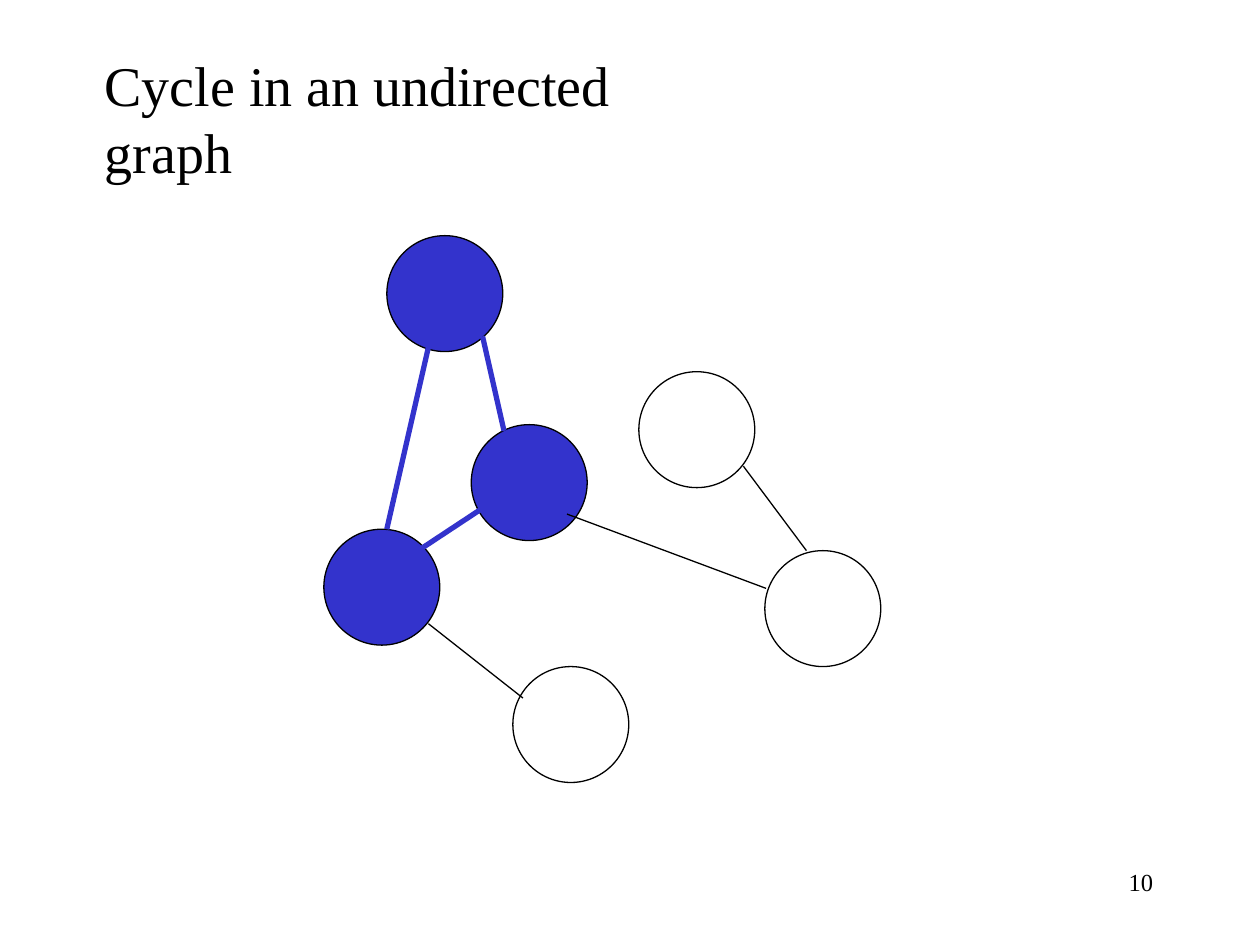
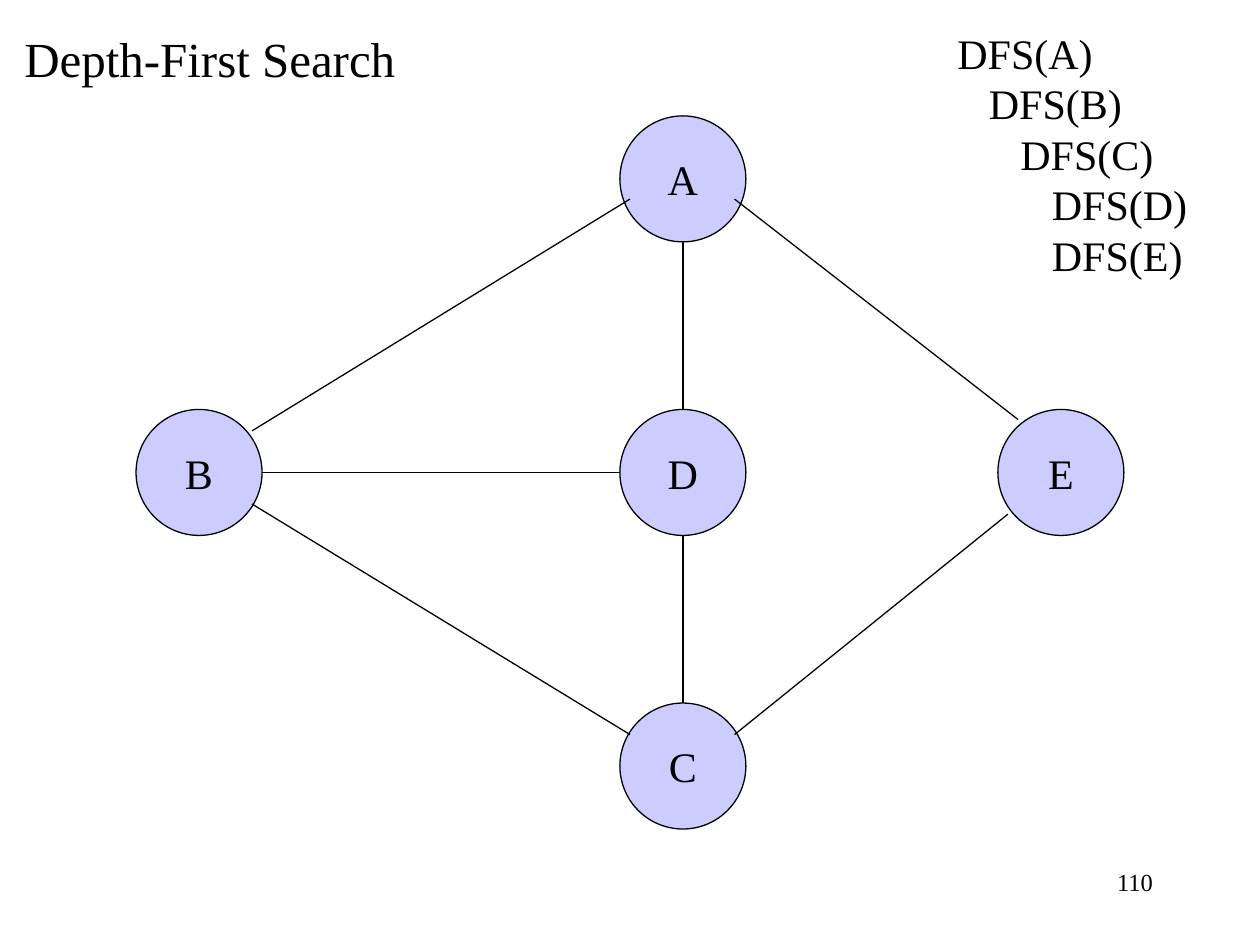
import dataclasses

import pptx
import pptx.dml.color
import pptx.enum.shapes
import pptx.enum.text
import pptx.oxml
import pptx.oxml.ns
import pptx.util

PX = 9144  # EMU per px, 100 px to the inch
ALIGN = pptx.enum.text.PP_ALIGN
ANCHOR = pptx.enum.text.MSO_ANCHOR


@dataclasses.dataclass(frozen=True)
class Theme:
    font: str = "Times New Roman"
    ink: str = "000000"
    cycle: str = "3333CC"
    node: str = "CCCCFF"
    title: int = 32
    small_title: int = 28
    body: int = 24
    page: int = 14
    thin: float = 0.75
    thick: float = 3


THEME = Theme()


def rgb(value):
    return pptx.dml.color.RGBColor.from_string(value)


def px(*lengths):
    return [pptx.util.Emu(length * PX) for length in lengths]


def write(sp, *lines, size=THEME.body, align=ALIGN.LEFT, anchor=ANCHOR.TOP,
          wrap=False, indents=()):
    """Fill a shape with one paragraph per line; indents are left margins in px."""
    tf = sp.text_frame
    tf.word_wrap = wrap
    tf.auto_size = pptx.enum.text.MSO_AUTO_SIZE.NONE
    tf.vertical_anchor = anchor
    for i, line in enumerate(lines):
        p = tf.paragraphs[0] if i == 0 else tf.add_paragraph()
        p.alignment = align
        if indents:
            p._p.get_or_add_pPr().set("marL", str(indents[i] * PX))
        r = p.add_run()
        r.text = line
        r.font.name = THEME.font
        r.font.size = pptx.util.Pt(size)
        r.font.color.rgb = rgb(THEME.ink)


def add_text(s, box, *lines, **fmt):
    write(s.shapes.add_textbox(*px(*box)), *lines, **fmt)


def add_slide(prs, title, title_box, page, **title_fmt):
    s = prs.slides.add_slide(prs.slide_layouts[5])
    sp = s.shapes.title
    sp.left, sp.top, sp.width, sp.height = px(*title_box)
    write(sp, title, **title_fmt)
    add_text(s, (717, 683, 208, 50), page, size=THEME.page, align=ALIGN.RIGHT, wrap=True)
    return s


def add_node(s, left, top, size, fill=None, label=None):
    sp = s.shapes.add_shape(pptx.enum.shapes.MSO_SHAPE.OVAL, *px(left, top, size, size))
    sp.shadow.inherit = False
    if fill:
        sp.fill.solid()
        sp.fill.fore_color.rgb = rgb(fill)
    else:
        sp.fill.background()
    sp.line.color.rgb = rgb(THEME.ink)
    sp.line.width = pptx.util.Pt(THEME.thin)
    if label:
        write(sp, label, align=ALIGN.CENTER, anchor=ANCHOR.MIDDLE)


def add_edges(s, edges, color=THEME.ink, width=THEME.thin):
    """Draw straight edges given as (x1, y1, x2, y2)."""
    for edge in edges:
        cxn = s.shapes.add_connector(pptx.enum.shapes.MSO_CONNECTOR.STRAIGHT, *px(*edge))
        cxn.line.color.rgb = rgb(color)
        cxn.line.width = pptx.util.Pt(width)
        cxn._element.spPr.append(pptx.oxml.parse_xml(
            f'<a:effectLst {pptx.oxml.ns.nsdecls("a")}/>'))


def cycle_slide(prs):
    s = add_slide(prs, "Cycle in an undirected graph", (73, 35, 534, 63), "10",
                  size=THEME.title)
    cycle_nodes = [(307, 187), (374, 337), (257, 420)]
    other_nodes = [(507, 295), (607, 437), (407, 529)]
    for left, top in cycle_nodes:
        add_node(s, left, top, 92, THEME.cycle)
    for left, top in other_nodes:
        add_node(s, left, top, 92)
    add_edges(s, [(342, 267, 307, 420), (332, 437, 382, 404), (383, 267, 400, 342)],
              THEME.cycle, THEME.thick)
    add_edges(s, [(415, 554, 340, 495), (450, 408, 608, 467), (640, 437, 590, 370)])


def search_slide(prs):
    s = add_slide(prs, "Depth-First Search", (8, 17, 317, 58), "110",
                  size=THEME.small_title, align=ALIGN.CENTER, anchor=ANCHOR.MIDDLE,
                  wrap=True)
    nodes = {"A": (492, 92), "B": (108, 325), "C": (492, 558),
             "D": (492, 325), "E": (792, 325)}
    for label, (left, top) in nodes.items():
        add_node(s, left, top, 100, THEME.node, label)
    add_edges(s, [
        (200, 342, 500, 158),  # A-B
        (542, 192, 542, 325),  # A-D
        (808, 333, 583, 158),  # A-E
        (200, 400, 500, 583),  # B-C
        (208, 375, 492, 375),  # B-D
        (542, 425, 542, 558),  # D-C
        (800, 408, 583, 583),  # E-C
    ])
    depths = {"A": 0, "B": 1, "C": 2, "D": 3, "E": 3}
    add_text(s, (750, 17, 203, 210), *[f"DFS({node})" for node in depths],
             indents=[25 * depth for depth in depths.values()])


def main():
    prs = pptx.Presentation()
    prs.slide_width, prs.slide_height = px(1000, 750)
    cycle_slide(prs)
    search_slide(prs)
    prs.save("out.pptx")


if __name__ == "__main__":
    main()
